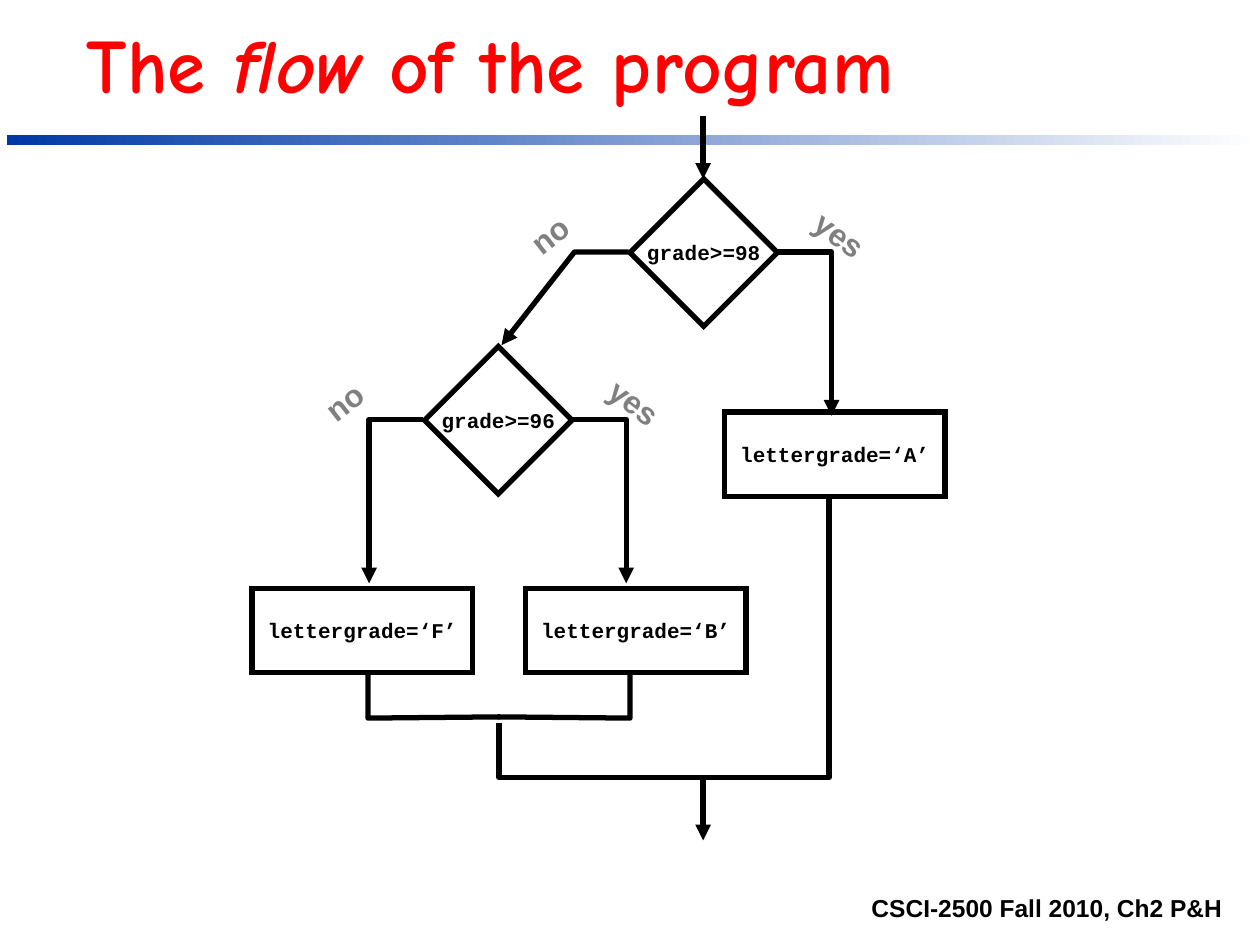
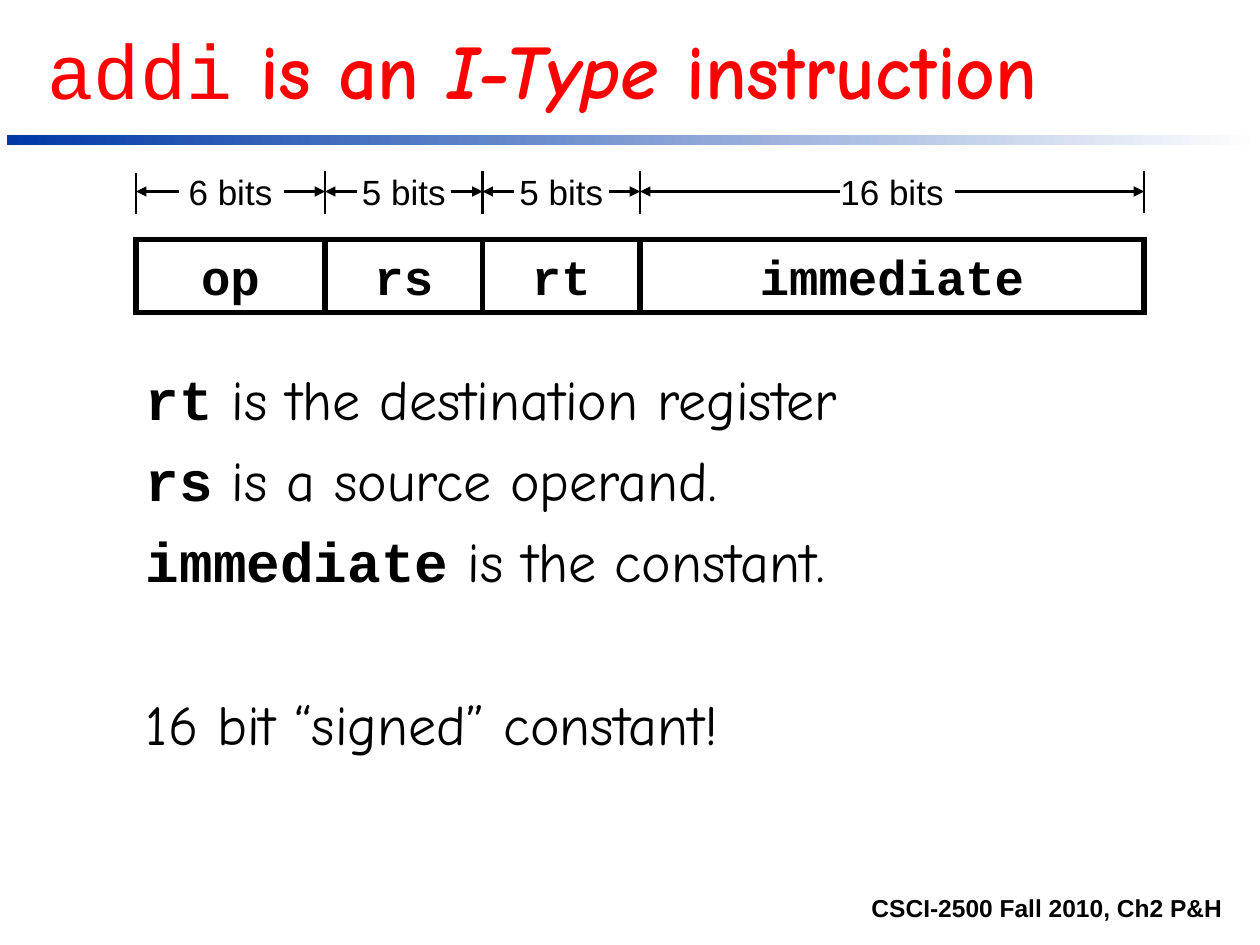
from dataclasses import dataclass
from typing import NamedTuple

from lxml.etree import SubElement
from pptx import Presentation
from pptx.dml.color import RGBColor
from pptx.enum.shapes import MSO_CONNECTOR, MSO_SHAPE
from pptx.enum.text import MSO_ANCHOR as ANCHOR, PP_ALIGN as ALIGN
from pptx.oxml.ns import qn
from pptx.util import Inches, Pt

BLACK, WHITE, RED, GREY, BLUE = "000000", "FFFFFF", "FF0000", "808080", "0039A6"
SANS, HAND, MONO = "Arial", "Comic Neue", "Courier New"
FOOTER = "CSCI-2500 Fall 2010, Ch2 P&H"

TITLE = dict(name=HAND, size=Pt(44), bold=True)
TITLE_EMPHASIS = TITLE | dict(italic=True)
TITLE_CODE = dict(name=MONO, size=Pt(44))
BODY = dict(name=HAND, size=Pt(32))
BODY_CODE = dict(name=MONO, size=Pt(32), bold=True)
STEP = dict(name=MONO, size=Pt(12), bold=True)
BRANCH = dict(name=SANS, size=Pt(18), bold=True)
FIELD = dict(name=MONO, size=Pt(28), bold=True)
BITS = dict(name=SANS, size=Pt(20))
FOOT = dict(name=SANS, size=Pt(14), bold=True)

Point = tuple[float, float]


class Run(NamedTuple):
    text: str
    fmt: dict


class Box(NamedTuple):
    x: float
    y: float
    w: float
    h: float

    def emu(self) -> list[int]:
        return [Inches(v) for v in self]


@dataclass
class Decision:
    x: float
    y: float
    condition: str
    no_end: Point


@dataclass
class Action:
    x: float
    y: float
    grade: str


@dataclass
class BitField:
    name: str
    width: float
    bits: int
    left_arrow: float
    right_arrow: float


DIAMOND = 1.17
ACTION_W, ACTION_H = 1.75, 0.67
MAIN_X = 5.58

DECISIONS = [
    Decision(5, 1.42, "grade>=98", (3.98, 2.74)),
    Decision(3.37, 2.75, "grade>=96", (2.93, 4.63)),
]
ACTIONS = [Action(5.75, 3.27, "A"), Action(4.17, 4.67, "B"), Action(2, 4.67, "F")]
MERGES = [
    [(2.92, 5.33), (2.92, 5.7), (3.97, 5.69)],
    [(5, 5.33), (5, 5.7), (3.95, 5.69)],
    [(6.58, 3.95), (6.58, 6.17), (5.75, 6.17)],
    [(3.96, 5.74), (3.96, 6.17), (5.79, 6.17)],
]

FIELDS_LEFT = 1.08
FIELDS = [
    BitField("op", 1.5, 6, 0.34, 0.33),
    BitField("rs", 1.25, 5, 0.25, 0.25),
    BitField("rt", 1.25, 5, 0.25, 0.25),
    BitField("immediate", 4, 16, 1.59, 1.5),
]
EXPLANATION = [
    [Run("rt", BODY_CODE), Run(" is the destination register", BODY)],
    [Run("rs", BODY_CODE), Run(" is a source operand.", BODY)],
    [Run("immediate", BODY_CODE), Run(" is the constant.", BODY)],
    [Run("16 bit “signed” constant!", BODY)],
]


def rgb(color: str) -> RGBColor:
    return RGBColor.from_string(color)


def set_line(sp, width: float, arrow: bool = False, miter: bool = False) -> None:
    sp.line.color.rgb = rgb(BLACK)
    sp.line.width = Pt(width)
    ln = sp.element.spPr.get_or_add_ln()
    if miter:
        SubElement(ln, qn("a:miter"), lim="800000")
    if arrow:
        SubElement(ln, qn("a:tailEnd"), type="triangle")


def write(p, runs: list[Run], color: str) -> None:
    for text, fmt in runs:
        r = p.add_run()
        r.text = text
        r.font.color.rgb = rgb(color)
        for attr, value in fmt.items():
            setattr(r.font, attr, value)


def center(sp, run: Run, color: str = BLACK, anchor: ANCHOR = ANCHOR.MIDDLE) -> None:
    """Centre one unwrapped run, using the full width of the shape."""
    tf = sp.text_frame
    tf.word_wrap = False
    tf.margin_left = tf.margin_right = 0
    tf.vertical_anchor = anchor
    tf.paragraphs[0].alignment = ALIGN.CENTER
    write(tf.paragraphs[0], [run], color)


def add_text(slide, box: Box, paragraphs: list[list[Run]], color: str = BLACK,
             anchor: ANCHOR = ANCHOR.BOTTOM, align: ALIGN = ALIGN.LEFT):
    tf = slide.shapes.add_textbox(*box.emu()).text_frame
    tf.word_wrap = True
    tf.vertical_anchor = anchor
    for i, runs in enumerate(paragraphs):
        p = tf.add_paragraph() if i else tf.paragraphs[0]
        p.alignment = align
        write(p, runs, color)
    return tf


def add_label(slide, box: Box, run: Run, color: str = BLACK,
              anchor: ANCHOR = ANCHOR.MIDDLE, rotation: float = 0) -> None:
    sp = slide.shapes.add_textbox(*box.emu())
    sp.rotation = rotation
    center(sp, run, color, anchor)


def add_outlined(slide, kind: MSO_SHAPE, box: Box, run: Run) -> None:
    sp = slide.shapes.add_shape(kind, *box.emu())
    sp.shadow.inherit = False
    sp.fill.background()
    set_line(sp, 3, miter=True)
    center(sp, run)


def add_line(slide, start: Point, end: Point, width: float, arrow: bool = False) -> None:
    ends = [Inches(v) for v in start + end]
    sp = slide.shapes.add_connector(MSO_CONNECTOR.STRAIGHT, *ends)
    set_line(sp, width, arrow)
    SubElement(sp.element.spPr, qn("a:effectLst"))


def add_polyline(slide, points: list[Point], arrow: bool = False) -> None:
    first, *rest = [(Inches(x), Inches(y)) for x, y in points]
    builder = slide.shapes.build_freeform(*first)
    builder.add_line_segments(rest, close=False)
    sp = builder.convert_to_shape()
    sp.shadow.inherit = False
    sp.fill.background()
    set_line(sp, 3, arrow)


def add_slide(prs, title_box: Box, title: list[Run]):
    """Start a slide with the gradient band, footer and title."""
    slide = prs.slides.add_slide(prs.slide_layouts[6])
    band = slide.shapes.add_shape(MSO_SHAPE.RECTANGLE, *Box(0.06, 1.07, 9.94, 0.08).emu())
    band.shadow.inherit = False
    band.line.fill.background()
    band.fill.gradient()
    band.fill.gradient_angle = 180
    for stop, color in zip(band.fill.gradient_stops, (WHITE, BLUE)):
        stop.color.rgb = rgb(color)
    add_text(slide, Box(1.85, 6.98, 7.95, 0.39), [[Run(FOOTER, FOOT)]], align=ALIGN.RIGHT)
    add_text(slide, title_box, [title], RED)
    return slide


def add_decision(slide, d: Decision) -> None:
    """Draw a diamond with its labelled no and yes branches."""
    add_outlined(slide, MSO_SHAPE.DIAMOND, Box(d.x, d.y, DIAMOND, DIAMOND),
                 Run(d.condition, STEP))
    mid, right = d.y + 0.58, d.x + DIAMOND
    add_polyline(slide, [(d.x - 0.01, mid), (d.x - 0.44, mid), d.no_end], arrow=True)
    add_polyline(slide, [(right, mid), (right + 0.43, mid), (right + 0.43, mid + 1.3)],
                 arrow=True)
    for text, dx, width, rotation in (("no", -0.89, 0.5, 322), ("yes", 1.36, 0.61, 37.1)):
        add_label(slide, Box(d.x + dx, d.y + 0.24, width, 0.4), Run(text, BRANCH),
                  GREY, ANCHOR.TOP, rotation)


def add_bit_field(slide, field: BitField, left: float) -> None:
    """Draw a field box with the dimension line of its bits above it."""
    right, y = left + field.width, 1.52
    add_outlined(slide, MSO_SHAPE.RECTANGLE, Box(left, 1.9, field.width, 0.58),
                 Run(field.name, FIELD))
    add_label(slide, Box(left, 1.23, field.width, 0.58), Run(f"{field.bits} bits", BITS))
    add_line(slide, (right - field.right_arrow, y), (right, y), 1.5, arrow=True)
    add_line(slide, (left + field.left_arrow, y), (left, y), 1.5, arrow=True)
    for x, top in ((left, 1.37), (right, 1.36)):
        add_line(slide, (x, top), (x, top + 0.33), 1.5)


def build_flow_slide(prs) -> None:
    slide = add_slide(prs, Box(0.59, 0.08, 8.5, 0.83), [
        Run("The ", TITLE), Run("flow", TITLE_EMPHASIS), Run(" of the program", TITLE)])
    for decision in DECISIONS:
        add_decision(slide, decision)
    for a in ACTIONS:
        add_outlined(slide, MSO_SHAPE.RECTANGLE, Box(a.x, a.y, ACTION_W, ACTION_H),
                     Run(f"lettergrade=‘{a.grade}’", STEP))
    for points in MERGES:
        add_polyline(slide, points)
    for top in (0.92, 6.17):
        add_line(slide, (MAIN_X, top), (MAIN_X, top + 0.5), 3, arrow=True)


def build_addi_slide(prs) -> None:
    slide = add_slide(prs, Box(0.28, 0.13, 9.13, 0.83), [
        Run("addi", TITLE_CODE), Run(" is an ", TITLE), Run("I-Type", TITLE_EMPHASIS),
        Run(" instruction", TITLE)])
    tf = add_text(slide, Box(1.06, 2.84, 6.56, 4.45), EXPLANATION, anchor=ANCHOR.TOP)
    for p in tf.paragraphs:
        p.space_before = Pt(8)
    tf.paragraphs[-1].space_before = Pt(55)
    left = FIELDS_LEFT
    for field in FIELDS:
        add_bit_field(slide, field, left)
        left += field.width


def main() -> None:
    prs = Presentation()
    prs.slide_width, prs.slide_height = Inches(10), Inches(7.5)
    build_flow_slide(prs)
    build_addi_slide(prs)
    prs.save("out.pptx")


if __name__ == "__main__":
    main()
